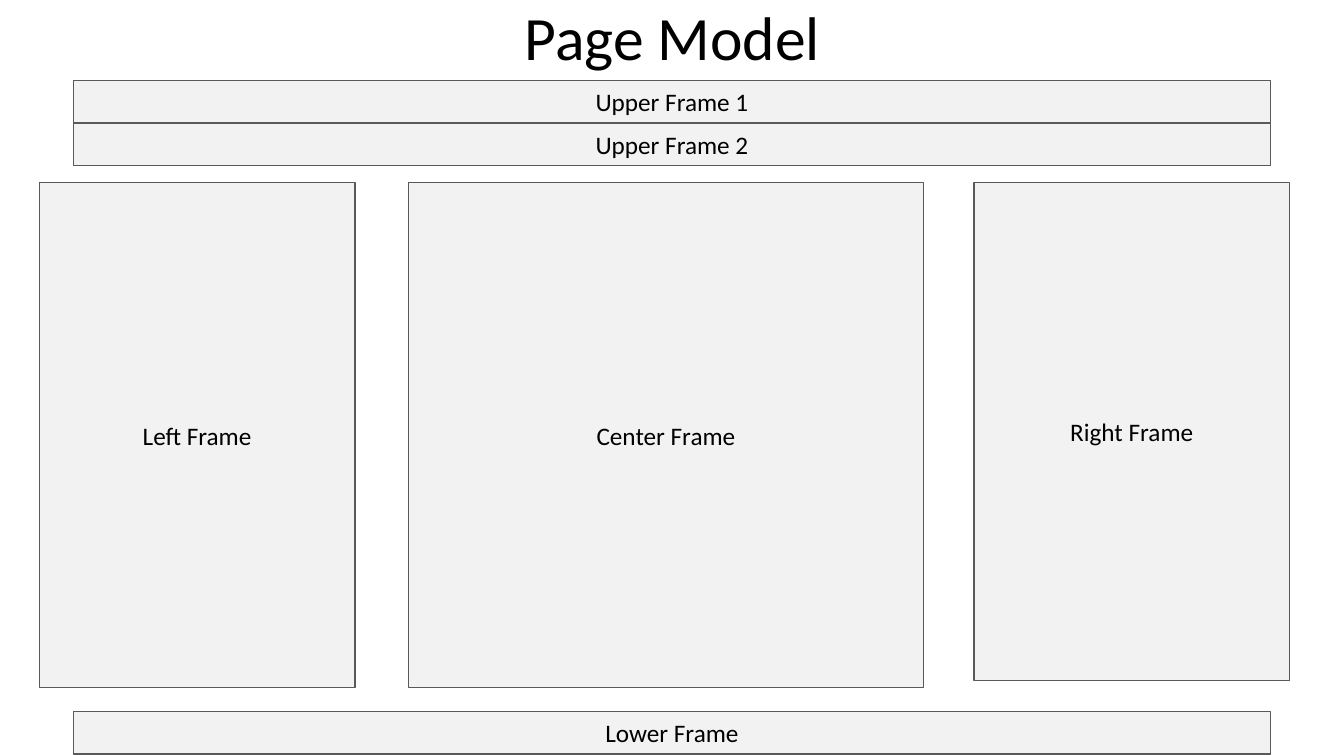
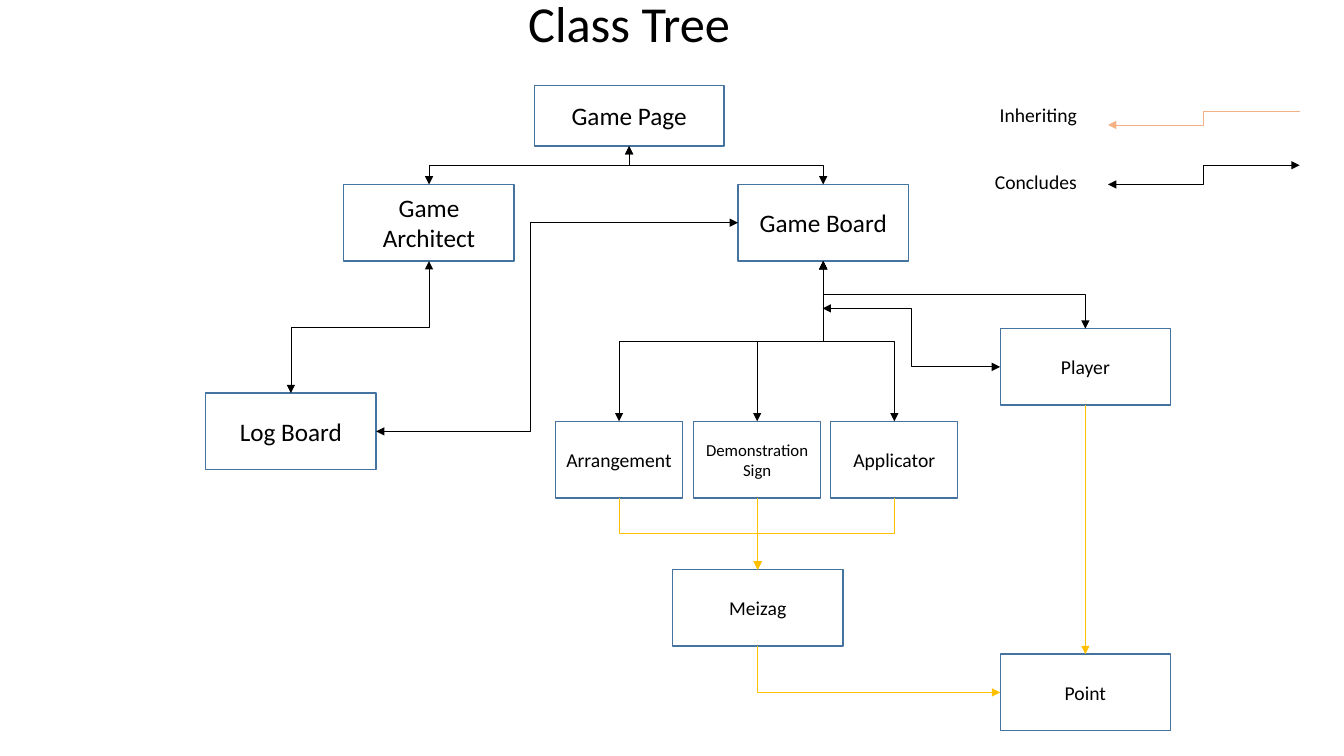
from lxml import etree
from pptx import Presentation
from pptx.dml.color import RGBColor
from pptx.enum import shapes, text
from pptx.oxml import ns
from pptx.util import Inches, Pt

BLACK = RGBColor(0x00, 0x00, 0x00)
WHITE = RGBColor(0xFF, 0xFF, 0xFF)
PALE_GREY = RGBColor(0xF2, 0xF2, 0xF2)
DARK_GREY = RGBColor(0x59, 0x59, 0x59)
BLUE = RGBColor(0x43, 0x73, 0x9E)
GOLD = RGBColor(0xFF, 0xC0, 0x00)
PEACH = RGBColor(0xF4, 0xB1, 0x83)
FONT = "Calibri"
CENTER, RIGHT = text.PP_ALIGN.CENTER, text.PP_ALIGN.RIGHT


def add_box(page, label, at, size, fill=None, line=None, align=CENTER):
    """Add a framed rectangle, or a plain text box when no fill is given."""
    place = [Inches(length) for length in at]
    if fill is None:
        box = page.shapes.add_textbox(*place)
    else:
        box = page.shapes.add_shape(shapes.MSO_SHAPE.RECTANGLE, *place)
        box.shadow.inherit = False
        box.fill.solid()
        box.fill.fore_color.rgb = fill
        box.line.color.rgb = line
        box.line.width = Pt(1)
    frame = box.text_frame
    frame.word_wrap = True
    frame.vertical_anchor = text.MSO_ANCHOR.MIDDLE
    frame.text = label
    para = frame.paragraphs[0]
    para.alignment = align
    font = para.runs[0].font
    font.name, font.size, font.color.rgb = FONT, Pt(size), BLACK
    return box


def add_elbow(page, start, end, color, both_ends, down=False, bend=None, corner=False):
    """Add a bent arrow; down makes it leave its start vertically."""
    (x1, y1), (x2, y2) = start, end
    kind = shapes.MSO_CONNECTOR.ELBOW
    turn = 0
    if down and x1 == x2:
        kind = shapes.MSO_CONNECTOR.STRAIGHT
    elif down:
        # The box lies on its side and is then turned about its centre
        mid_x, mid_y = (x1 + x2) / 2, (y1 + y2) / 2
        half_width, half_height = (y2 - y1) / 2, abs(x2 - x1) / 2
        side, turn = (1, 270) if x2 > x1 else (-1, 90)
        x1, x2 = mid_x + side * half_width, mid_x - side * half_width
        y1, y2 = mid_y - half_height, mid_y + half_height
    link = page.shapes.add_connector(kind, Inches(x1), Inches(y1), Inches(x2), Inches(y2))
    link.line.color.rgb = color
    link.line.width = Pt(0.5)
    properties = link._element.spPr
    if turn:
        properties.find(ns.qn("a:xfrm")).set("rot", str(turn * 60000))
    geometry = properties.find(ns.qn("a:prstGeom"))
    if corner:
        geometry.set("prst", "bentConnector2")
    if bend is not None:
        guide = etree.SubElement(geometry.find(ns.qn("a:avLst")), ns.qn("a:gd"))
        guide.set("name", "adj1")
        guide.set("fmla", f"val {round(bend * 100000)}")
    for tip in ["headEnd", "tailEnd"] if both_ends else ["tailEnd"]:
        etree.SubElement(link.line._ln, ns.qn(f"a:{tip}")).set("type", "triangle")
    etree.SubElement(properties, ns.qn("a:effectLst"))


deck = Presentation()
deck.slide_width, deck.slide_height = Inches(13.33), Inches(7.5)

# Pages and titles
pages = []
for title, at, size in [
    ("Page Model", (0.92, 0, 11.5, 0.8), 44),
    ("Class Tree", (0.49, -0.14, 11.5, 0.79), 36),
]:
    page = deck.slides.add_slide(deck.slide_layouts[6])
    heading = add_box(page, title, at, size)
    heading.text_frame.paragraphs[0].line_spacing = 0.9
    pages.append(page)
model_page, tree_page = pages

# Page model: full-width bars, then columns
for label, top in [("Upper Frame 1", 0.8), ("Upper Frame 2", 1.22), ("Lower Frame", 7.06)]:
    add_box(model_page, label, (0.73, top, 11.87, 0.42), 18, PALE_GREY, DARK_GREY)
for label, left, width, height in [
    ("Left Frame", 0.39, 3.13, 5.01),
    ("Center Frame", 4.05, 5.11, 5.01),
    ("Right Frame", 9.66, 3.13, 4.94),
]:
    add_box(model_page, label, (left, 1.81, width, height), 18, PALE_GREY, DARK_GREY)

# Class tree: boxes and the middles of their edges
WIDE, NARROW, HEIGHT = 1.69, 1.26, 0.76
top_of, bottom_of, left_of, right_of = {}, {}, {}, {}
for label, left, top, width, height, size in [
    ("Game Page", 5.3, 0.85, 1.88, 0.6, 18),
    ("Game Architect", 3.41, 1.83, WIDE, HEIGHT, 18),
    ("Game Board", 7.32, 1.83, WIDE, HEIGHT, 18),
    ("Player", 9.92, 3.26, WIDE, HEIGHT, 14),
    ("Arrangement", 5.51, 4.18, NARROW, HEIGHT, 14),
    ("Demonstration Sign", 6.88, 4.18, NARROW, HEIGHT, 12),
    ("Applicator", 8.24, 4.18, NARROW, HEIGHT, 14),
    ("Meizag", 6.67, 5.65, WIDE, HEIGHT, 14),
    ("Point", 9.92, 6.49, WIDE, HEIGHT, 14),
    ("Log Board", 2.04, 3.9, WIDE, HEIGHT, 18),
]:
    add_box(tree_page, label, (left, top, width, height), size, WHITE, BLUE)
    top_of[label] = (left + width / 2, top)
    bottom_of[label] = (left + width / 2, top + height)
    left_of[label] = (left, top + height / 2)
    right_of[label] = (left + width, top + height / 2)

# Links that run down from one box to the next
for upper, lower, color in [
    ("Game Architect", "Log Board", BLACK),
    ("Game Page", "Game Architect", BLACK),
    ("Game Page", "Game Board", BLACK),
    ("Game Board", "Arrangement", BLACK),
    ("Game Board", "Demonstration Sign", BLACK),
    ("Game Board", "Applicator", BLACK),
    ("Game Board", "Player", BLACK),
    ("Arrangement", "Meizag", GOLD),
    ("Demonstration Sign", "Meizag", GOLD),
    ("Applicator", "Meizag", GOLD),
    ("Player", "Point", GOLD),
]:
    add_elbow(tree_page, bottom_of[upper], top_of[lower], color, color == BLACK, down=True)

# Links that run sideways
add_elbow(tree_page, bottom_of["Meizag"], left_of["Point"], GOLD, False, down=True, corner=True)
add_elbow(tree_page, left_of["Player"], (8.16, 3.06), BLACK, True)
add_elbow(tree_page, left_of["Game Board"], right_of["Log Board"], BLACK, True, bend=0.574)

# Legend
for label, top, start, end, color in [
    ("Inheriting", 0.97, (12.89, 1.11), (10.99, 1.24), PEACH),
    ("Concludes", 1.63, (10.99, 1.83), (12.89, 1.64), BLACK),
]:
    add_box(tree_page, label, (9.52, top, NARROW, 0.34), 14, align=RIGHT)
    add_elbow(tree_page, start, end, color, color == BLACK)

deck.save("out.pptx")
